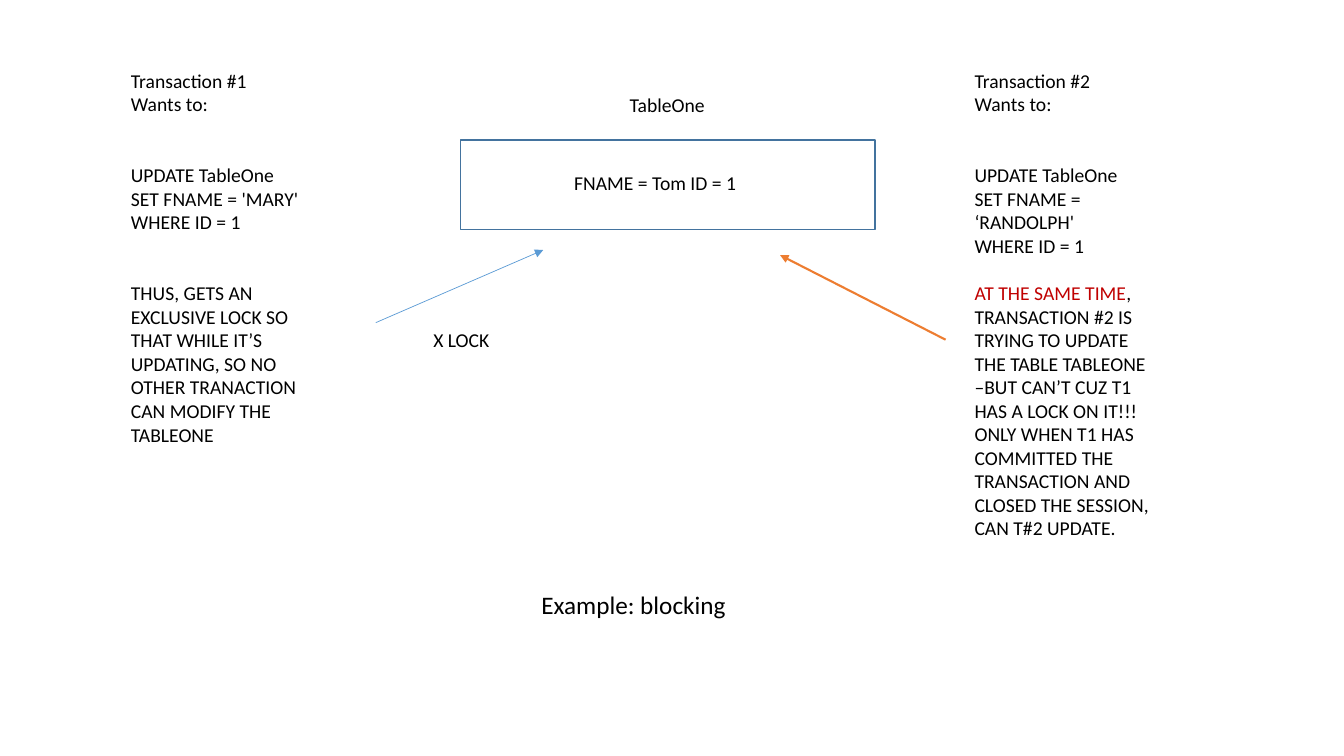
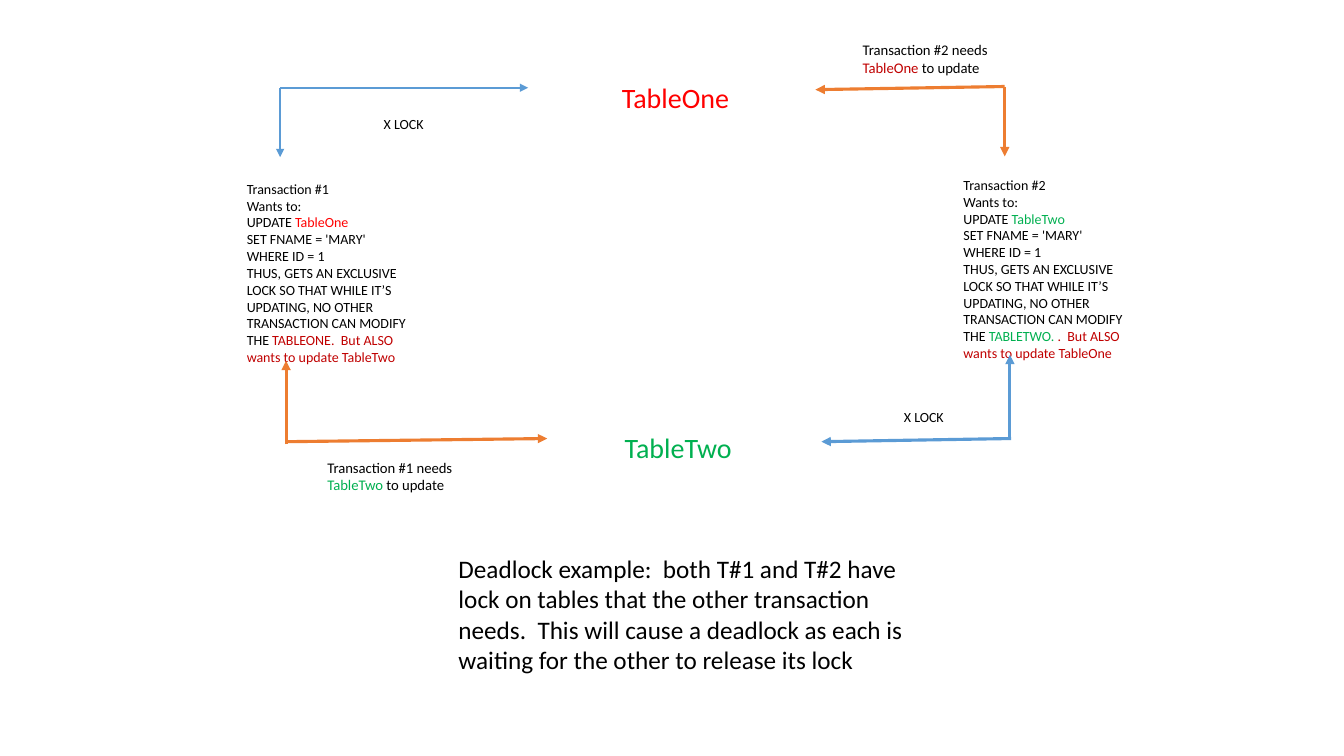
"""Build two slides explaining blocking and deadlocks between transactions."""
from dataclasses import dataclass

from lxml import etree
from pptx import Presentation
from pptx import slide as sl
from pptx.dml.color import RGBColor
from pptx.enum import shapes, text
from pptx.oxml import ns
from pptx.util import Cm, Pt

BLACK = RGBColor(0x00, 0x00, 0x00)
RED = RGBColor(0xFF, 0x00, 0x00)
DARK_RED = RGBColor(0xC0, 0x00, 0x00)
GREEN = RGBColor(0x00, 0xB0, 0x50)
BLUE = RGBColor(0x5B, 0x9B, 0xD5)
BORDER_BLUE = RGBColor(0x43, 0x73, 0x9E)
ORANGE = RGBColor(0xED, 0x7D, 0x31)
FONT = "Calibri"
CAPTION_SIZE = 18
COLUMN_WIDTH = 4.95
LOCK_WIDTH = 2.59


@dataclass(frozen=True)
class Span:
    """Text in one colour."""

    text: str
    color: RGBColor = BLACK


@dataclass(frozen=True)
class Line:
    """Paragraph of spans with the space before it in points."""

    spans: tuple[Span, ...]
    space_before: float = 0


@dataclass(frozen=True)
class Label:
    """Text block with its position and size in centimetres."""

    left: float
    top: float
    width: float
    height: float
    size: float
    lines: tuple[Line, ...]


@dataclass(frozen=True)
class Arrow:
    """Straight arrow with its ends in centimetres."""

    start: tuple[float, float]
    end: tuple[float, float]
    color: RGBColor
    weight: float


def line(content: str, space_before: float = 0, color: RGBColor = BLACK) -> Line:
    """Return a paragraph in a single colour."""
    return Line((Span(content, color),), space_before)


def fill_text(shape, label: Label) -> None:
    """Place a shape and write the label's paragraphs into it."""
    shape.left, shape.top = Cm(label.left), Cm(label.top)
    shape.width, shape.height = Cm(label.width), Cm(label.height)
    frame = shape.text_frame
    frame.word_wrap = True
    frame.auto_size = text.MSO_AUTO_SIZE.NONE
    frame.vertical_anchor = text.MSO_ANCHOR.TOP
    for index, item in enumerate(label.lines):
        paragraph = frame.add_paragraph() if index else frame.paragraphs[0]
        paragraph.alignment = text.PP_ALIGN.LEFT
        paragraph.space_before = Pt(item.space_before)
        for span in item.spans:
            run = paragraph.add_run()
            run.text = span.text
            run.font.name = FONT
            run.font.size = Pt(label.size)
            run.font.color.rgb = span.color


def add_label(slide: sl.Slide, label: Label) -> None:
    """Add a text box."""
    fill_text(slide.shapes.add_textbox(0, 0, 0, 0), label)


def add_arrow(slide: sl.Slide, arrow: Arrow) -> None:
    """Add a connector with a triangle at its end and no shadow."""
    points = [Cm(value) for value in (*arrow.start, *arrow.end)]
    connector = slide.shapes.add_connector(shapes.MSO_CONNECTOR.STRAIGHT, *points)
    connector.line.color.rgb = arrow.color
    connector.line.width = Pt(arrow.weight)
    properties = connector.line._get_or_add_ln()
    etree.SubElement(properties, ns.qn("a:tailEnd"), type="triangle")
    etree.SubElement(connector._element.spPr, ns.qn("a:effectLst"))


def add_diagram(presentation, caption: Label, labels: list[Label], arrows: list[Arrow]) -> sl.Slide:
    """Add a slide with its caption as title, labels and arrows."""
    slide = presentation.slides.add_slide(presentation.slide_layouts[5])
    fill_text(slide.shapes.title, caption)
    for label in labels:
        add_label(slide, label)
    for arrow in arrows:
        add_arrow(slide, arrow)
    return slide


def build_blocking(presentation) -> None:
    """Build the blocking example."""
    caption = Label(13.39, 14.71, 5.33, 1.02, CAPTION_SIZE, (line("Example: blocking"),))
    first = (
        line("Transaction #1"),
        line("Wants to:"),
        line("UPDATE TableOne", 34),
        line("SET FNAME = 'MARY'"),
        line("WHERE ID = 1"),
        line("THUS, GETS AN EXCLUSIVE LOCK SO THAT WHILE IT’S UPDATING, "
             "SO NO OTHER TRANACTION CAN MODIFY THE TABLEONE", 34),
    )
    second = (
        line("Transaction #2"),
        line("Wants to:"),
        line("UPDATE TableOne", 34),
        line("SET FNAME = ‘RANDOLPH'"),
        line("WHERE ID = 1"),
        Line((
            Span("AT THE SAME TIME", DARK_RED),
            Span(", TRANSACTION #2 IS TRYING TO UPDATE THE TABLE TABLEONE "
                 "–BUT CAN’T CUZ T1 HAS A LOCK ON IT!!!"),
        ), 17),
        line("ONLY WHEN T1 HAS COMMITTED THE TRANSACTION AND CLOSED THE SESSION, "
             "CAN T#2 UPDATE."),
    )
    labels = [
        Label(15.62, 2.21, 3.07, 0.86, 14, (line("TableOne"),)),
        Label(14.22, 4.17, 6.1, 0.86, 14, (line("FNAME = Tom ID = 1"),)),
        Label(3.05, 1.6, COLUMN_WIDTH, 10.44, 14, first),
        Label(24.31, 1.6, COLUMN_WIDTH, 12.83, 14, second),
        Label(10.67, 8.13, LOCK_WIDTH, 0.86, 14, (line("X LOCK"),)),
    ]
    arrows = [
        Arrow((9.47, 8.13), (13.69, 6.3), BLUE, 0.5),
        Arrow((23.83, 8.56), (19.66, 6.43), ORANGE, 1.5),
    ]
    slide = add_diagram(presentation, caption, labels, arrows)
    table_row = slide.shapes.add_shape(
        shapes.MSO_SHAPE.RECTANGLE, Cm(11.61), Cm(3.53), Cm(10.44), Cm(2.26))
    table_row.fill.background()
    table_row.line.color.rgb = BORDER_BLUE
    table_row.line.width = Pt(1)
    table_row.shadow.inherit = False


def transaction(number: int, table: Span, *ending: Span) -> tuple[Line, ...]:
    """Return the statement and lock explanation of one transaction."""
    return (
        line(f"Transaction #{number}"),
        line("Wants to:"),
        Line((Span("UPDATE "), table)),
        line("SET FNAME = 'MARY'"),
        line("WHERE ID = 1"),
        Line((
            Span("THUS, GETS AN EXCLUSIVE LOCK SO THAT WHILE IT’S UPDATING, "
                 "NO OTHER TRANSACTION CAN MODIFY THE "),
            *ending,
        )),
    )


def need(left: float, top: float, number: int, table: Span) -> Label:
    """Return the note on the table a transaction waits for."""
    spans = (Span(f"Transaction #{number} needs "), table, Span(" to update"))
    return Label(left, top, 4.34, 1.14, 10.5, (Line(spans),))


def build_deadlock(presentation) -> None:
    """Build the deadlock example."""
    caption = Label(11.3, 13.82, 11.89, 3.33, CAPTION_SIZE, (
        line("Deadlock example:  both T#1 and T#2 have lock on tables that the other "
             "transaction needs.  This will cause a deadlock as each is waiting for "
             "the other to release its lock"),
    ))
    table_one, table_two = Span("TableOne", RED), Span("TableTwo", GREEN)
    first = transaction(
        1, table_one, Span("TABLEONE.  But ALSO wants to update TableTwo", DARK_RED))
    second = transaction(
        2, table_two, Span("TABLETWO. ", GREEN),
        Span(".  But ALSO wants to update TableOne", DARK_RED))
    lock = (line("X LOCK"),)
    labels = [
        Label(15.42, 1.9, 3.96, 1.12, 20, (Line((table_one,)),)),
        Label(15.49, 10.72, 3.68, 1.12, 20, (Line((table_two,)),)),
        Label(5.97, 4.42, COLUMN_WIDTH, 5.38, 10, first),
        Label(24.03, 4.32, COLUMN_WIDTH, 6.25, 10, second),
        Label(9.42, 2.79, LOCK_WIDTH, 0.69, 10, lock),
        Label(22.53, 10.16, LOCK_WIDTH, 0.69, 10, lock),
        need(21.49, 0.91, 2, Span("TableOne", DARK_RED)),
        need(8, 11.43, 1, table_two),
    ]
    arrows = [
        Arrow((7.06, 2.21), (13.31, 2.21), BLUE, 1.5),
        Arrow((7.06, 2.21), (7.06, 3.96), BLUE, 1.5),
        Arrow((25.32, 2.18), (20.55, 2.26), ORANGE, 2.25),
        Arrow((25.32, 2.18), (25.32, 3.94), ORANGE, 2.25),
        Arrow((7.21, 11.13), (13.79, 11.05), ORANGE, 2.25),
        Arrow((7.21, 11.2), (7.21, 9.09), ORANGE, 2.25),
        Arrow((25.48, 11.05), (20.7, 11.13), BLUE, 2.25),
        Arrow((25.45, 11.07), (25.45, 8.94), BLUE, 2.25),
    ]
    add_diagram(presentation, caption, labels, arrows)


def main() -> None:
    """Build and save the presentation."""
    presentation = Presentation()
    presentation.slide_width, presentation.slide_height = Cm(33.87), Cm(19.05)
    build_blocking(presentation)
    build_deadlock(presentation)
    presentation.save("out.pptx")


if __name__ == "__main__":
    main()
